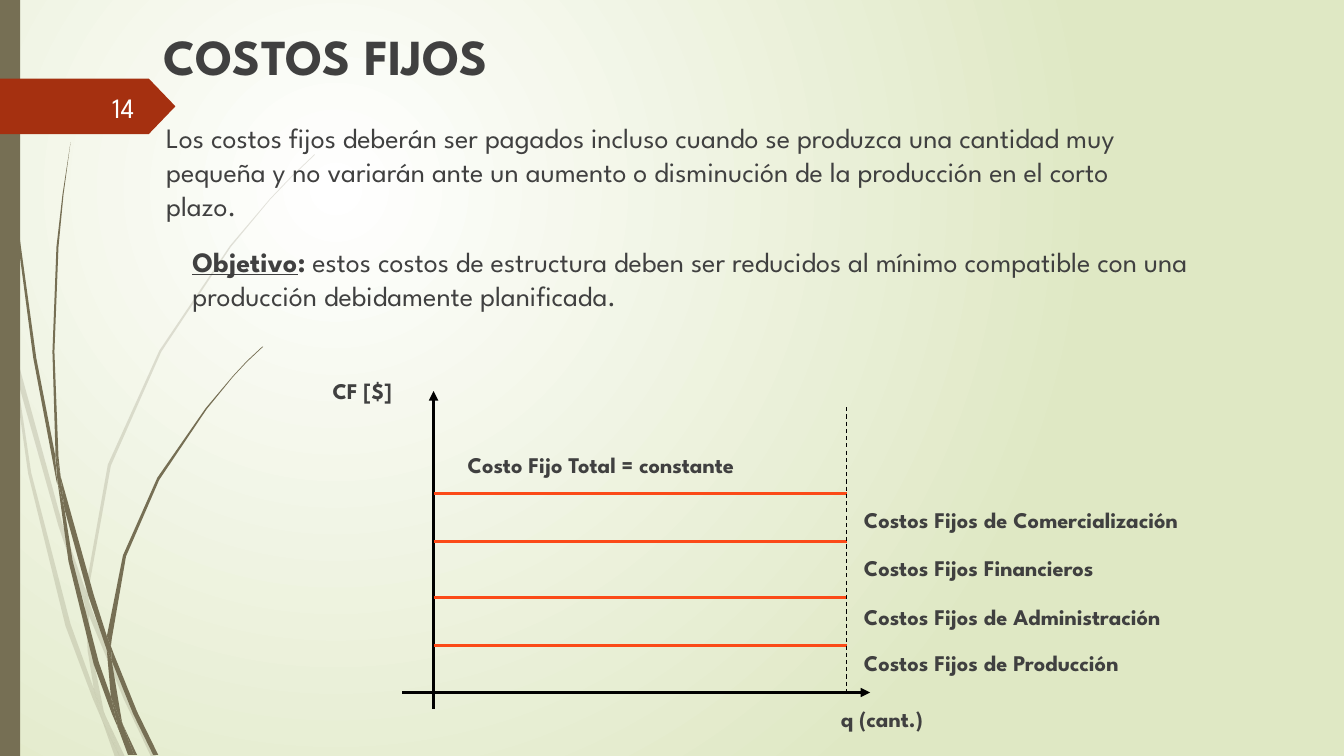
from lxml import etree
from pptx import Presentation
from pptx.dml.color import RGBColor
from pptx.enum.dml import MSO_LINE
from pptx.enum.shapes import MSO_CONNECTOR, MSO_SHAPE
from pptx.enum.text import MSO_ANCHOR, PP_ALIGN
from pptx.oxml import parse_xml
from pptx.oxml.ns import nsdecls, qn
from pptx.util import Pt

RECT, PENTAGON = MSO_SHAPE.RECTANGLE, MSO_SHAPE.PENTAGON
STRAIGHT, DASH = MSO_CONNECTOR.STRAIGHT, MSO_LINE.DASH
TOP, MIDDLE = MSO_ANCHOR.TOP, MSO_ANCHOR.MIDDLE
LEFT, RIGHT = PP_ALIGN.LEFT, PP_ALIGN.RIGHT

SCALE = 9144  # EMU per px, 100 px to the inch
SLIDE_W, SLIDE_H = 1333, 750
FONT = "League Spartan"
COLORS = {
    "text": "404040", "number": "FEFFFF", "stem": "766F54", "tag": "A53010",
    "axis": "000000", "cost": "FB4A18", "center": "FFFFFF", "edge": "DFE8C4",
}

# Outlines of the grass pieces
PALE_GRASS = [
    [(11, 350), (9, 322), (0, 282), (0, 299), (10, 344)],
    [(58, 522), (84, 599), (85, 586), (62, 520), (14, 345), (17, 376)],
    [(92, 607), (88, 596), (88, 610), (123, 694), (150, 751), (155, 751), (127, 692)],
    [(119, 751), (124, 751), (105, 711)],
    [(93, 683), (70, 619), (31, 469), (17, 376), (11, 350), (28, 470), (65, 621),
     (92, 693), (101, 714), (99, 707)],
    [(84, 599), (87, 646), (93, 683), (96, 692), (105, 711), (103, 706), (91, 646),
     (88, 610), (88, 608)],
    [(88, 584), (110, 462), (160, 349), (229, 245), (268, 198), (290, 175), (312, 154),
     (312, 153), (289, 175), (268, 197), (228, 244), (158, 348), (107, 461), (85, 584),
     (85, 586), (88, 596)],
    [(101, 714), (114, 751), (119, 751)],
    [(88, 608), (88, 610), (88, 596), (85, 586), (84, 599)],
    [(96, 692), (93, 683), (99, 707), (101, 714), (119, 751), (105, 711)],
]
DARK_GRASS = [
    [(7, 110), (17, 233), (33, 355), (56, 477), (57, 481), (55, 457), (55, 453),
     (36, 355), (19, 232), (8, 109), (5, 48), (4, 0), (3, 0), (4, 48)],
    [(88, 592), (106, 645), (106, 633), (106, 631), (93, 590), (60, 472), (64, 505)],
    [(113, 649), (110, 641), (111, 656), (132, 708), (152, 749), (157, 749), (136, 706)],
    [(110, 691), (98, 657), (72, 556), (64, 505), (57, 477), (68, 557), (93, 659),
     (111, 708), (117, 722), (116, 717)],
    [(60, 472), (58, 453), (54, 349), (58, 245), (63, 193), (70, 141), (62, 193),
     (56, 245), (52, 349), (55, 449)],
    [(133, 749), (136, 749), (122, 719)],
    [(57, 477), (64, 505), (60, 472), (55, 449), (55, 453)],
    [(111, 633), (125, 552), (158, 476), (205, 406), (231, 374), (245, 359), (261, 344),
     (260, 344), (245, 358), (231, 373), (204, 405), (156, 474), (122, 551), (106, 631),
     (110, 641)],
    [(117, 722), (127, 749), (131, 749)],
    [(106, 645), (110, 691), (116, 706), (122, 719), (121, 716), (111, 656), (109, 651)],
    [(106, 645), (109, 651), (111, 656), (110, 641), (106, 631), (106, 633)],
    [(116, 706), (110, 691), (116, 717), (117, 722), (130, 749), (133, 749), (122, 719)],
]
COST_LABELS = [
    ("Costos Fijos de Comercialización", 497), ("Costos Fijos Financieros", 545),
    ("Costos Fijos de Administración", 593), ("Costos Fijos de Producción", 639),
]


def px(n):
    return n * SCALE


def rgb(name):
    return RGBColor.from_string(COLORS[name])


def paint(sp, color):
    sp.shadow.inherit = False
    sp.fill.solid()
    sp.fill.fore_color.rgb = rgb(color)
    sp.line.fill.background()


def add_text(s, box, runs, size, color="text", align=LEFT, anchor=TOP):
    """Each run is (text, bold, underline)."""
    tf = s.shapes.add_textbox(*map(px, box)).text_frame
    tf.word_wrap = True
    tf.vertical_anchor = anchor
    p = tf.paragraphs[0]
    p.alignment = align
    for text, bold, underline in runs:
        r = p.add_run()
        r.text = text
        r.font.name, r.font.size = FONT, Pt(size)
        r.font.bold, r.font.underline = bold, underline
        r.font.color.rgb = rgb(color)


def add_line(s, start, end, color, width=2.25, arrow=False, dash=None):
    line = s.shapes.add_connector(STRAIGHT, *map(px, (*start, *end)))
    line.line.color.rgb = rgb(color)
    line.line.width = Pt(width)
    if dash:
        line.line.dash_style = dash
    sp_pr = line._element.spPr
    if arrow:
        etree.SubElement(sp_pr.find(qn("a:ln")), qn("a:tailEnd"), type="triangle")
    etree.SubElement(sp_pr, qn("a:effectLst"))


def add_grass(s, pieces, alpha=100):
    for start, *rest in pieces:
        builder = s.shapes.build_freeform(*start, scale=SCALE)
        builder.add_line_segments(rest, close=True)
        sp = builder.convert_to_shape()
        paint(sp, "stem")
        if alpha < 100:
            color = sp._element.spPr.find(qn("a:solidFill"))[0]
            etree.SubElement(color, qn("a:alpha"), val=str(alpha * 1000))


def set_background(s):
    s.element.cSld.insert(0, parse_xml(
        f'<p:bg {nsdecls("p", "a")}><p:bgPr><a:gradFill rotWithShape="1"><a:gsLst>'
        f'<a:gs pos="0"><a:srgbClr val="{COLORS["center"]}"/></a:gs>'
        f'<a:gs pos="100000"><a:srgbClr val="{COLORS["edge"]}"/></a:gs></a:gsLst>'
        '<a:path path="circle">'
        '<a:fillToRect l="50000" t="50000" r="100000" b="100000"/></a:path>'
        '</a:gradFill><a:effectLst/></p:bgPr></p:bg>'))


def add_decoration(s, number):
    add_grass(s, PALE_GRASS, alpha=20)
    add_grass(s, DARK_GRASS)
    paint(s.shapes.add_shape(RECT, 0, 0, px(20), px(SLIDE_H)), "stem")
    tag = s.shapes.add_shape(PENTAGON, *map(px, (0, 78, 174, 55)))
    tag.adjustments[0] = 0.48
    paint(tag, "tag")
    add_text(s, (58, 86, 85, 40), [(number, False, False)], 20, "number", RIGHT, MIDDLE)


def add_heading(s, x, y):
    add_text(s, (x, y, 806, 70), [("COSTOS FIJOS", True, False)], 36)
    add_text(s, (x + 3, y + 95, 1030, 110), [(
        "Los costos fijos deberán ser pagados incluso cuando se produzca una cantidad "
        "muy pequeña y no variarán ante un aumento o disminución de la producción en "
        "el corto plazo.", False, False)], 20)
    add_text(s, (x + 29, y + 218, 1030, 77), [
        ("Objetivo", True, True), (":", True, False),
        (" estos costos de estructura deben ser reducidos al mínimo compatible con "
         "una producción debidamente planificada.", False, False)], 20)


def add_cost_diagram(s, x, y, w, h):
    """Axes cross at the lower left corner of the box."""
    right, bottom = x + w, y + h

    def label(text, left, top, width):
        add_text(s, (left, top, width, 37), [(text, True, False)], 16)

    add_line(s, (x, bottom + 16), (x, y - 16), "axis", arrow=True)
    add_line(s, (x - 31, bottom), (right + 23, bottom), "axis", arrow=True)
    for rise in (47, 94, 150, 197):
        add_line(s, (x, bottom - rise), (right, bottom - rise), "cost")
    add_line(s, (right, y), (right, bottom), "axis", 0.75, dash=DASH)
    label("CF [$]", x - 110, y - 35, 110)
    label("q (cant.)", right - 16, bottom + 8, 134)
    label("Costo Fijo Total = constante", x + 24, y + 39, 402)
    for text, top in COST_LABELS:
        label(text, right + 7, y + top - 404, 425)


def main():
    prs = Presentation()
    prs.slide_width, prs.slide_height = px(SLIDE_W), px(SLIDE_H)
    s = prs.slides.add_slide(prs.slide_layouts[6])
    set_background(s)
    add_decoration(s, "14")
    add_heading(s, 152, 20)
    add_cost_diagram(s, 430, 404, 410, 283)
    prs.save("out.pptx")


if __name__ == "__main__":
    main()
